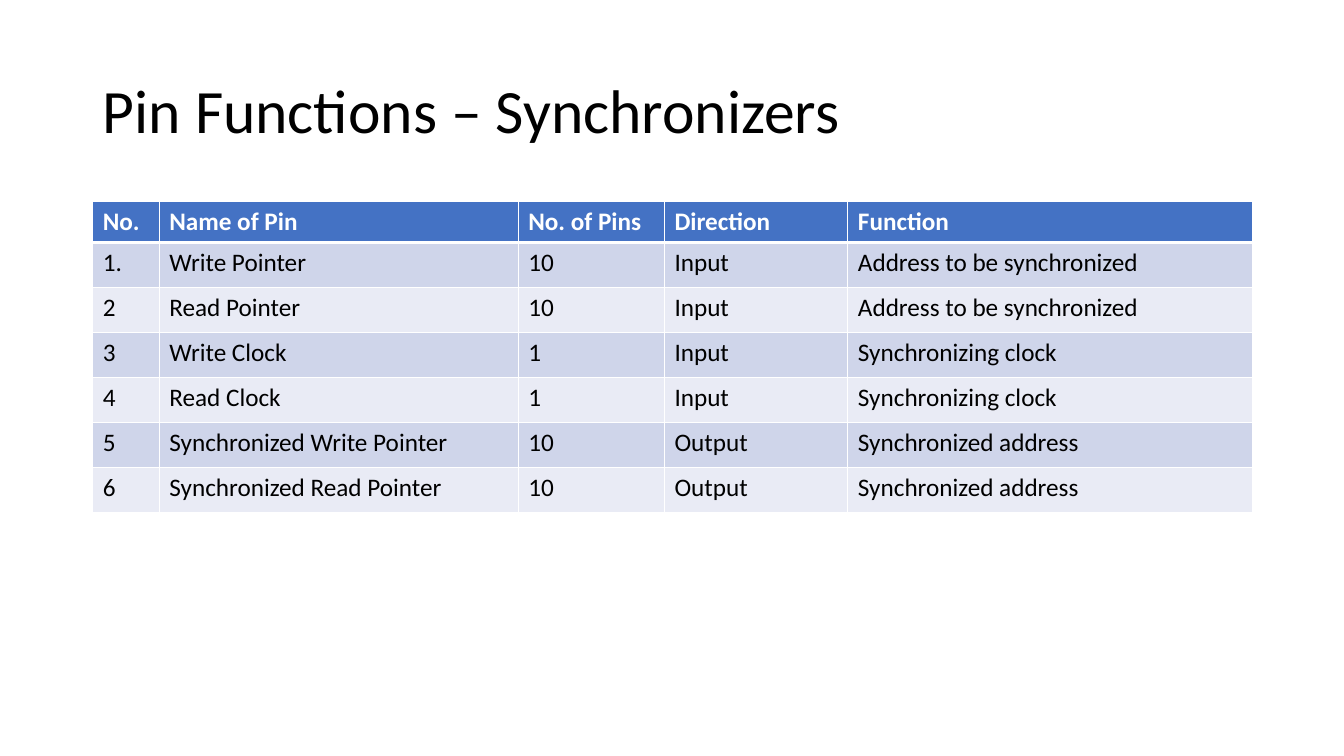
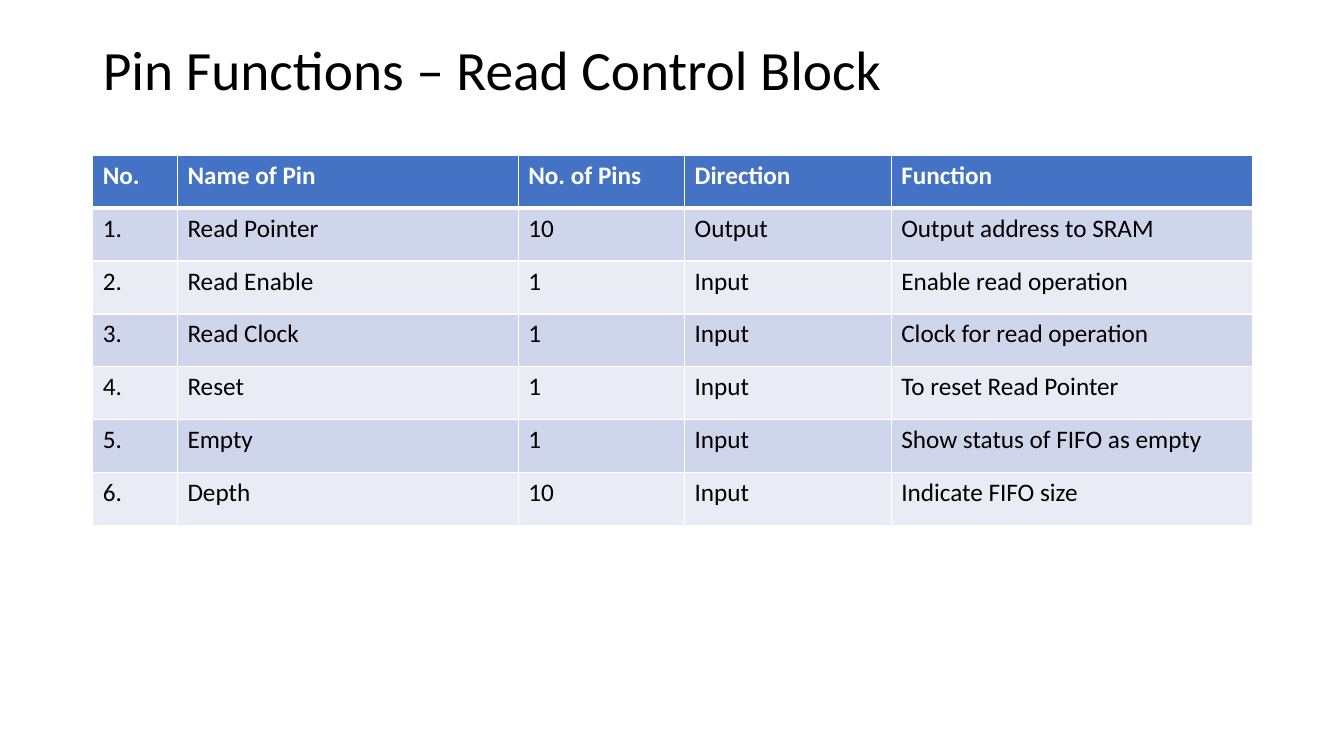
from lxml import etree
from pptx import Presentation
from pptx import util as u
from pptx.dml.color import RGBColor
from pptx.enum import text
from pptx.oxml.ns import qn

# Content
HEADINGS = ("No.", "Name of Pin", "No. of Pins", "Direction", "Function")
PIN_SLIDES = [
    {
        "title": "Pin Functions – Synchronizers",
        "title_size": 44, "title_height": 1.45,
        "table_top": 2, "columns": (0.66, 3.56, 1.45, 1.82, 4.01),
        "head_height": 0.4, "row_height": 0.447,
        "pins": [
            ("1.", "Write Pointer", "10", "Input", "Address to be synchronized"),
            ("2", "Read Pointer", "10", "Input", "Address to be synchronized"),
            ("3", "Write Clock", "1", "Input", "Synchronizing clock"),
            ("4", "Read Clock", "1", "Input", "Synchronizing clock"),
            ("5", "Synchronized Write Pointer", "10", "Output", "Synchronized address"),
            ("6", "Synchronized Read Pointer", "10", "Output", "Synchronized address"),
        ],
    },
    {
        "title": "Pin Functions – Read Control Block",
        "title_size": 39.6, "title_height": 0.64,
        "table_top": 1.54, "columns": (0.84, 3.38, 1.65, 2.05, 3.58),
        "head_height": 0.525, "row_height": 0.525,
        "pins": [
            ("1.", "Read Pointer", "10", "Output", "Output address to SRAM"),
            ("2.", "Read Enable", "1", "Input", "Enable read operation"),
            ("3.", "Read Clock", "1", "Input", "Clock for read operation"),
            ("4.", "Reset", "1", "Input", "To reset Read Pointer"),
            ("5.", "Empty", "1", "Input", "Show status of FIFO as empty"),
            ("6.", "Depth", "10", "Input", "Indicate FIFO size"),
        ],
    },
]

# Shared look
THEME = {
    "font": "Calibri", "ink": "000000", "head_ink": "FFFFFF",
    "head": "4472C4", "bands": ("CFD5EA", "E9EBF5"),
    "rule": "FFFFFF", "rule_width": 1, "head_rule_width": 3,
    "cell_size": 18, "title_spacing": 0.9,
}
SLIDE_WIDTH, SLIDE_HEIGHT = 13.33, 7.5
MARGIN, TITLE_TOP, CONTENT_WIDTH = 0.92, 0.4, 11.5


def style_font(font, size, colour, bold=False):
    for key, value in {"name": THEME["font"], "size": u.Pt(size), "bold": bold}.items():
        setattr(font, key, value)
    font.color.rgb = RGBColor.from_string(colour)


def add_title(slide, page):
    title = slide.shapes.title
    box = {"left": MARGIN, "top": TITLE_TOP,
           "width": CONTENT_WIDTH, "height": page["title_height"]}
    for side, inches in box.items():
        setattr(title, side, u.Inches(inches))
    frame = title.text_frame
    frame.text = page["title"]
    frame.auto_size = text.MSO_AUTO_SIZE.NONE
    frame.vertical_anchor = text.MSO_ANCHOR.MIDDLE
    heading = frame.paragraphs[0]
    heading.alignment = text.PP_ALIGN.LEFT
    heading.line_spacing = THEME["title_spacing"]
    style_font(heading.runs[0].font, page["title_size"], THEME["ink"])


def add_borders(cell, widths):
    properties = cell._tc.get_or_add_tcPr()
    for side in "LRTB":
        line = etree.SubElement(properties, qn(f"a:ln{side}"),
                                w=str(u.Pt(widths.get(side, THEME["rule_width"]))))
        fill = etree.SubElement(line, qn("a:solidFill"))
        etree.SubElement(fill, qn("a:srgbClr"), val=THEME["rule"])


def fill_cell(cell, words, row):
    is_head = row == 0
    # The thick rule lies between the headings and the first pin
    thick_side = {0: "B", 1: "T"}.get(row)
    add_borders(cell, {thick_side: THEME["head_rule_width"]})
    cell.fill.solid()
    colour = THEME["head"] if is_head else THEME["bands"][(row - 1) % 2]
    cell.fill.fore_color.rgb = RGBColor.from_string(colour)
    cell.text = words
    ink = THEME["head_ink"] if is_head else THEME["ink"]
    style_font(cell.text_frame.paragraphs[0].runs[0].font, THEME["cell_size"], ink, is_head)


def add_pin_table(slide, page):
    rows = [HEADINGS, *page["pins"]]
    heights = [page["head_height"]] + [page["row_height"]] * len(page["pins"])
    table = slide.shapes.add_table(
        len(rows), len(HEADINGS), u.Inches(MARGIN), u.Inches(page["table_top"]),
        u.Inches(CONTENT_WIDTH), u.Inches(sum(heights))).table
    table.horz_banding = False
    for column, width in zip(table.columns, page["columns"]):
        column.width = u.Inches(width)
    for row, (entries, height) in enumerate(zip(rows, heights)):
        table.rows[row].height = u.Inches(height)
        for column, words in enumerate(entries):
            fill_cell(table.cell(row, column), words, row)


def main():
    deck = Presentation()
    deck.slide_width, deck.slide_height = u.Inches(SLIDE_WIDTH), u.Inches(SLIDE_HEIGHT)
    title_only = deck.slide_layouts[5]
    for page in PIN_SLIDES:
        slide = deck.slides.add_slide(title_only)
        add_title(slide, page)
        add_pin_table(slide, page)
    deck.save("out.pptx")


if __name__ == "__main__":
    main()
